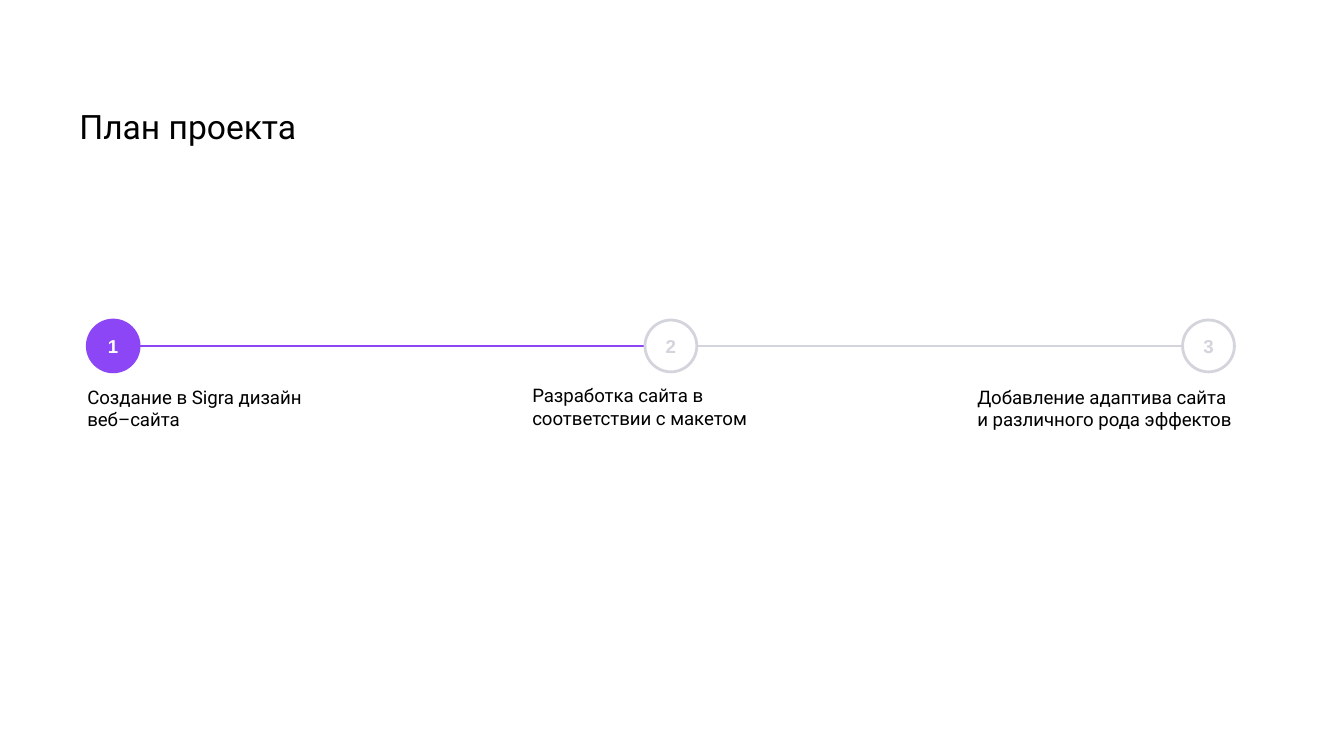
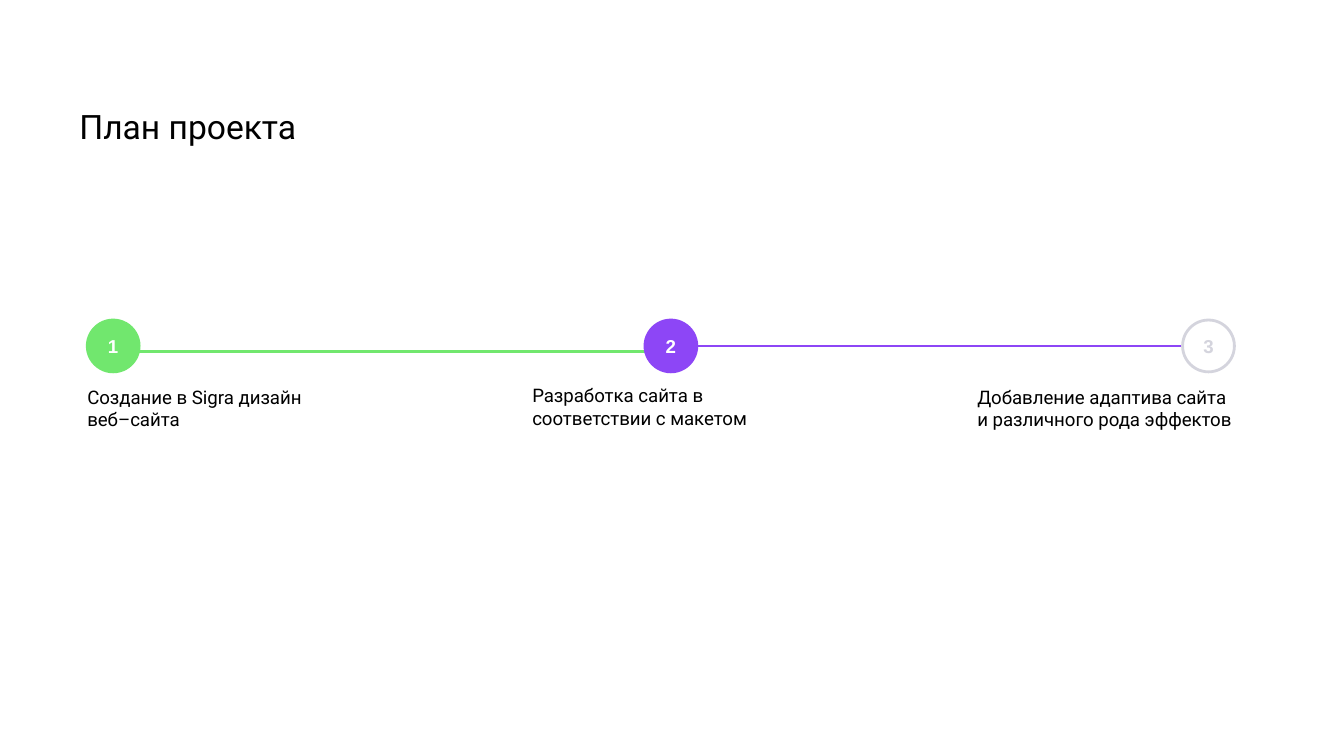
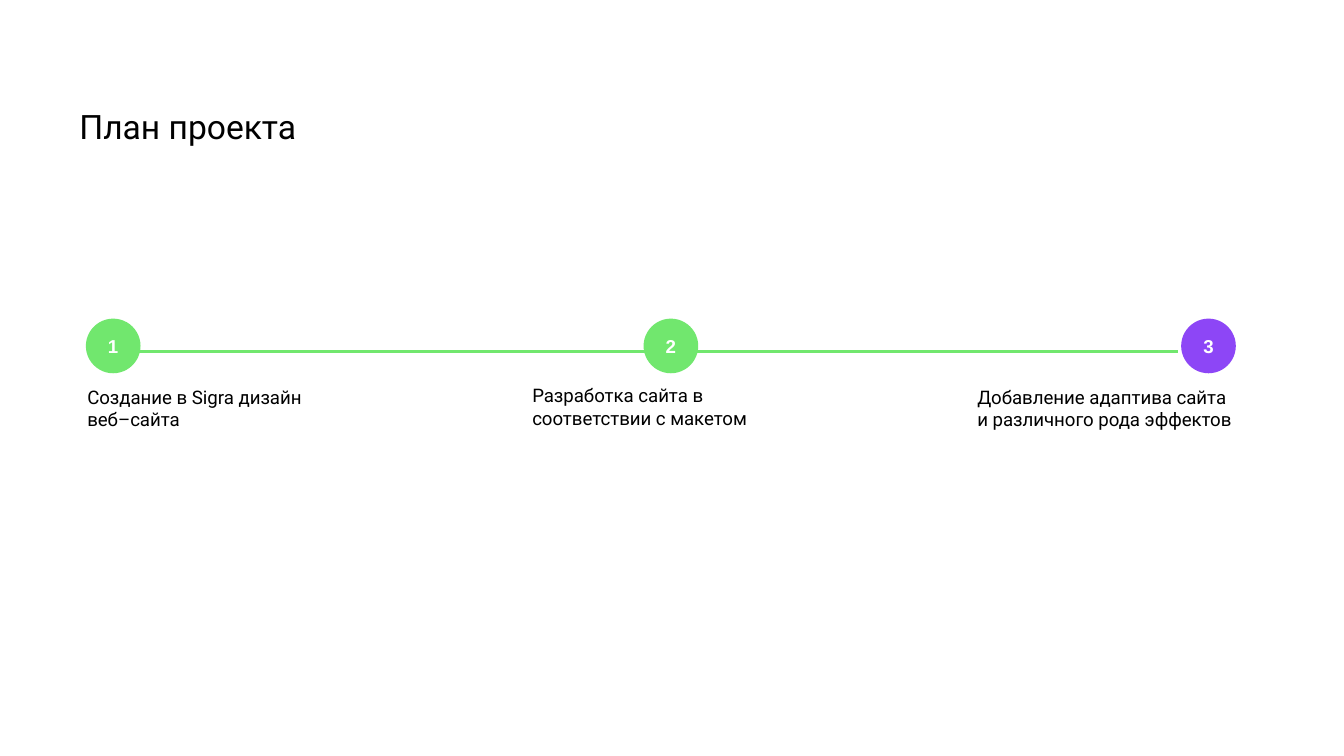
from pptx import Presentation
from pptx.dml.color import RGBColor
from pptx.enum.shapes import MSO_CONNECTOR, MSO_SHAPE
from pptx.enum.text import MSO_ANCHOR, MSO_AUTO_SIZE, PP_ALIGN
from pptx.oxml.ns import qn
from pptx.util import Cm, Pt
from lxml.etree import SubElement

TITLE = "План проекта"
STEPS = [
    {"text": "Создание в Sigra дизайн веб–сайта", "dot": 1.65, "left": 1.65, "top": 7.04, "width": 4.85},
    {"text": "Разработка сайта в соответствии с макетом", "dot": 12.19, "left": 10.06, "top": 7.01, "width": 4.85},
    {"text": "Добавление адаптива сайта и различного рода эффектов", "dot": 22.35, "left": 18.47, "top": 7.04, "width": 5.2},
]
PLANS = [
    ("now", "next", "next"),
    ("done", "now", "next"),
    ("done", "done", "now"),
]
HUES = {"done": "71E76E", "now": "8D46F6", "next": "D4D4DD"}
WHITE, BLACK = "FFFFFF", "000000"
DOT, ROW, DROP, BACK = 0.98, 6.05, 0.1, 0.08
STROKE = Pt(1.5)


def paint(part, hue):
    part.rgb = RGBColor.from_string(hue)


def write(frame, text, size, face, hue, pads, bold=False, align=PP_ALIGN.LEFT, anchor=MSO_ANCHOR.TOP):
    frame.word_wrap = True
    frame.auto_size = MSO_AUTO_SIZE.NONE
    frame.vertical_anchor = anchor
    frame.margin_left, frame.margin_top, frame.margin_right, frame.margin_bottom = map(Cm, pads)
    para = frame.paragraphs[0]
    para.alignment = align
    run = para.add_run()
    run.text = text
    font = run.font
    font.size, font.name, font.bold = Pt(size), face, bold
    paint(font.color, hue)


def add_title(slide):
    title = slide.shapes.title
    title.left, title.top, title.width, title.height = map(Cm, (1.5, 2.01, 22.4, 0.89))
    write(title.text_frame, TITLE, 18, "Roboto", BLACK, (0, 0, 0, 0))


def add_link(slide, start, end, state, shift):
    level = ROW + DOT / 2 + (DROP if state == "done" else 0)
    link = slide.shapes.add_connector(
        MSO_CONNECTOR.STRAIGHT, Cm(start + DOT - shift), Cm(level), Cm(end - shift), Cm(level))
    link.line.width = STROKE
    paint(link.line.color, HUES[state])
    SubElement(link._element.spPr, qn("a:effectLst"))


def add_dot(slide, left, label, state):
    dot = slide.shapes.add_shape(MSO_SHAPE.OVAL, Cm(left), Cm(ROW), Cm(DOT), Cm(DOT))
    dot.shadow.inherit = False
    hue = HUES[state]
    back, ink = (WHITE, hue) if state == "next" else (hue, WHITE)
    dot.fill.solid()
    paint(dot.fill.fore_color, back)
    dot.line.width = STROKE
    paint(dot.line.color, hue)
    write(dot.text_frame, label, 10, "Arial", ink, (0, 0, 0, 0), True, PP_ALIGN.CENTER, MSO_ANCHOR.MIDDLE)


def add_note(slide, step):
    box = slide.shapes.add_textbox(Cm(step["left"]), Cm(step["top"]), Cm(step["width"]), Cm(0.94))
    write(box.text_frame, step["text"], 10, "Roboto", BLACK, (0, 0.25, 0.25, 0.25))


def add_plan(deck, states):
    slide = deck.slides.add_slide(deck.slide_layouts[5])
    add_title(slide)
    for spot, (step, after) in enumerate(zip(STEPS, STEPS[1:])):
        state = states[spot]
        shift = BACK if spot and state == "done" else 0
        add_link(slide, step["dot"], after["dot"], state, shift)
    for count, (step, state) in enumerate(zip(STEPS, states), 1):
        add_dot(slide, step["dot"], str(count), state)
        add_note(slide, step)


def main():
    deck = Presentation()
    deck.slide_width, deck.slide_height = Cm(25.4), Cm(14.29)
    for states in PLANS:
        add_plan(deck, states)
    deck.save("out.pptx")


if __name__ == "__main__":
    main()
